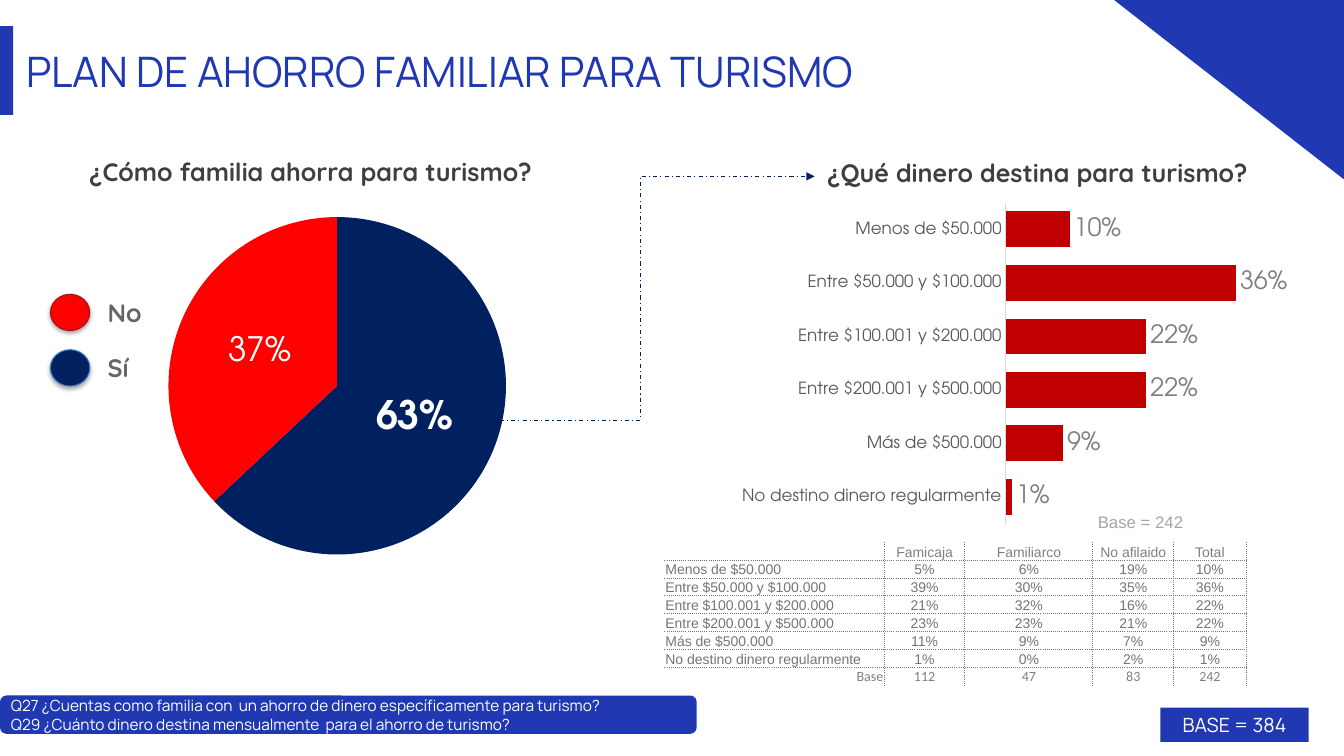
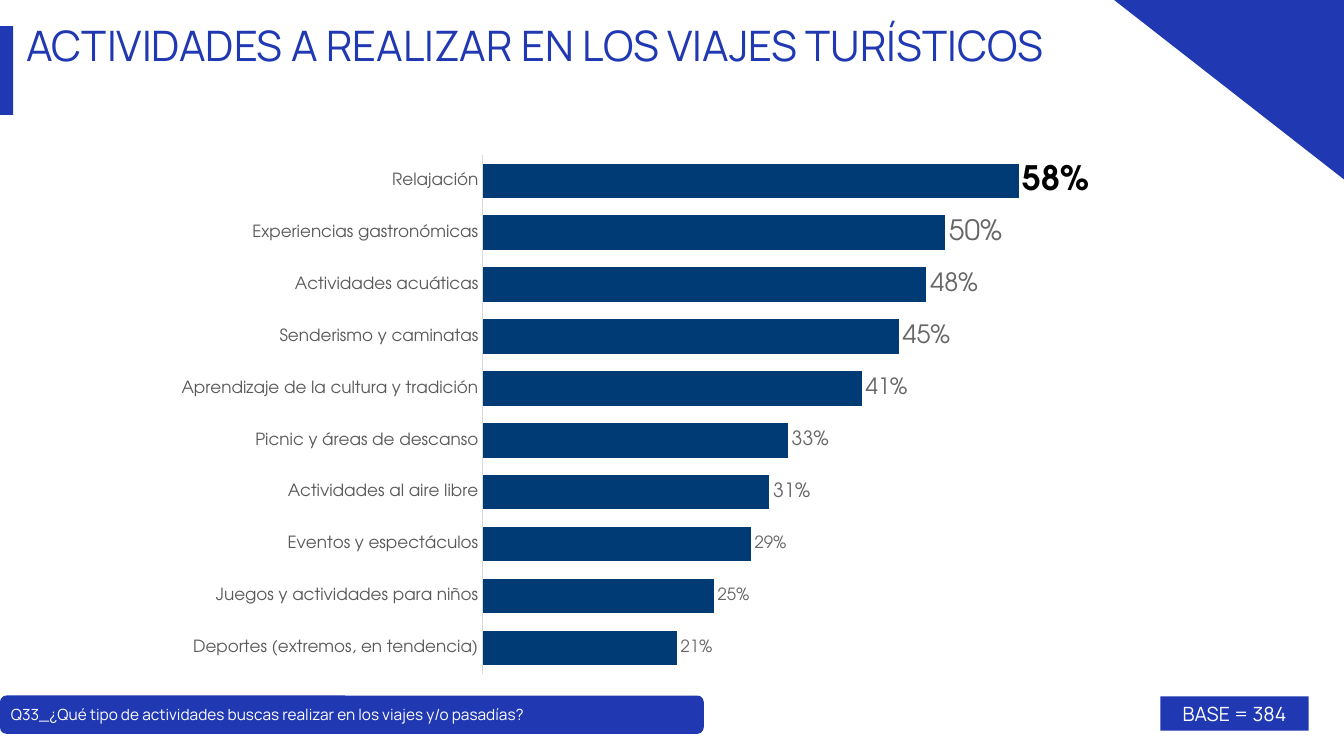
from dataclasses import dataclass
from typing import Any

import pptx
import pptx.chart.data
import pptx.dml.color
import pptx.enum.chart
import pptx.enum.dml
import pptx.enum.shapes
import pptx.enum.text
import pptx.oxml.ns
import pptx.util
from lxml import etree

Inches = pptx.util.Inches
Pt = pptx.util.Pt
qn = pptx.oxml.ns.qn
Align = pptx.enum.text.PP_ALIGN
Anchor = pptx.enum.text.MSO_ANCHOR
ShapeKind = pptx.enum.shapes.MSO_SHAPE
LabelPosition = pptx.enum.chart.XL_LABEL_POSITION

COLORS = {
    "brand": "2038B2", "navy": "002060", "red": "FF0000", "bar_red": "C00000",
    "bar_blue": "003B75", "white": "FFFFFF", "black": "000000", "heading": "3F3F3F",
    "legend": "666666", "axis_text": "595959", "axis_line": "D9D9D9", "grey": "808080",
    "light_grey": "A5A5A5", "table": "757575", "navy_edge": "2674BB", "red_edge": "A31115",
}
BRAND_FONT = "Manrope"
HEADING_FONT = "Quicksand"
CHART_FONT = "TeX Gyre Adventor"
TABLE_FONT = "Arial"


@dataclass(frozen=True)
class Box:
    left: float
    top: float
    width: float
    height: float

    def lengths(self) -> tuple:
        return tuple(Inches(value) for value in (self.left, self.top, self.width, self.height))


@dataclass(frozen=True)
class Bar:
    category: str
    value: float
    label_size: int = 18
    label_color: str = "grey"
    bold: bool = False


@dataclass(frozen=True)
class LegendEntry:
    text: str
    top: float
    fill: str
    edge: str


SAVINGS_BARS = [
    Bar("Menos de $50.000", 0.10),
    Bar("Entre $50.000 y $100.000", 0.36),
    Bar("Entre $100.001 y $200.000", 0.22),
    Bar("Entre $200.001 y $500.000", 0.22),
    Bar("Más de $500.000", 0.09),
    Bar("No destino dinero regularmente", 0.01),
]
ACTIVITY_BARS = [
    Bar("Deportes (extremos, en tendencia)", 0.21, 12, "legend"),
    Bar("Juegos y actividades para niños", 0.25, 12, "legend"),
    Bar("Eventos y espectáculos", 0.29, 12, "legend"),
    Bar("Actividades al aire libre", 0.31, 14, "legend"),
    Bar("Picnic y áreas de descanso", 0.33, 14, "legend"),
    Bar("Aprendizaje de la cultura y tradición", 0.41, 16, "legend"),
    Bar("Senderismo y caminatas", 0.45, 18, "legend"),
    Bar("Actividades acuáticas", 0.48, 18, "legend"),
    Bar("Experiencias gastronómicas", 0.50, 20, "legend"),
    Bar("Relajación", 0.58, 24, "black", True),
]
SAVERS = [Bar("1", 0.63, 28, "white", True), Bar("2", 0.37, 24, "white")]
LEGEND = [
    LegendEntry("No", 2.92, "red", "red_edge"),
    LegendEntry("Sí", 3.47, "navy", "navy_edge"),
]
TABLE_ROWS = [
    ("", "Famicaja", "Familiarco", "No afilaido", "Total"),
    ("Menos de $50.000", "5%", "6%", "19%", "10%"),
    ("Entre $50.000 y $100.000", "39%", "30%", "35%", "36%"),
    ("Entre $100.001 y $200.000", "21%", "32%", "16%", "22%"),
    ("Entre $200.001 y $500.000", "23%", "23%", "21%", "22%"),
    ("Más de $500.000", "11%", "9%", "7%", "9%"),
    ("No destino dinero regularmente", "1%", "0%", "2%", "1%"),
    ("Base", "112", "47", "83", "242"),
]
TABLE_WIDTHS = (2.18, 0.8, 1.27, 0.8, 0.72)


def rgb(name: str) -> pptx.dml.color.RGBColor:
    return pptx.dml.color.RGBColor.from_string(COLORS[name])


def format_font(font: Any, *, size: float, color: str, name: str, bold: bool = False) -> None:
    font.size, font.name, font.bold = Pt(size), name, bold
    font.color.rgb = rgb(color)


def write_text(frame: Any, text: str, *, size: float, color: str, font: str,
               bold: bool = False, align: Any = Align.LEFT, anchor: Any = Anchor.TOP,
               margins: tuple = (0.1, 0.05, 0.1, 0.05)) -> None:
    """Fill a text frame, one paragraph per line; margins run left, top, right, bottom."""
    frame.word_wrap = True
    frame.vertical_anchor = anchor
    frame.margin_left, frame.margin_top, frame.margin_right, frame.margin_bottom = map(Inches, margins)
    for index, line in enumerate(text.split("\n")):
        paragraph = frame.add_paragraph() if index else frame.paragraphs[0]
        paragraph.alignment = align
        run = paragraph.add_run()
        run.text = line
        format_font(run.font, size=size, color=color, name=font, bold=bold)


def add_text(slide: Any, box: Box, text: str, **text_format: Any) -> None:
    write_text(slide.shapes.add_textbox(*box.lengths()).text_frame, text, **text_format)


def paint(shape: Any, fill: str, edge: str = "") -> None:
    shape.shadow.inherit = False
    shape.fill.solid()
    shape.fill.fore_color.rgb = rgb(fill)
    if edge:
        shape.line.color.rgb = rgb(edge)
        shape.line.width = Pt(0.75)
    else:
        shape.line.fill.background()


def add_block(slide: Any, kind: Any, box: Box, fill: str, edge: str = "") -> Any:
    shape = slide.shapes.add_shape(kind, *box.lengths())
    paint(shape, fill, edge)
    return shape


def add_framed_slide(presentation: Any, title: str, title_box: Box, question: str,
                     question_width: float, base_top: float) -> Any:
    """Add a slide with its title, corner, side band, question strip and base tag."""
    slide = presentation.slides.add_slide(presentation.slide_layouts.get_by_name("Title Only"))
    heading = slide.shapes.title
    heading.left, heading.top, heading.width, heading.height = title_box.lengths()
    write_text(heading.text_frame, title, size=30, color="brand", font=BRAND_FONT,
               margins=(0.01, 0.01, 0, 0))
    heading.text_frame.auto_size = pptx.enum.text.MSO_AUTO_SIZE.NONE

    corner = slide.shapes.build_freeform(Inches(13.33), 0)
    corner.add_line_segments([(Inches(11.05), 0), (Inches(13.33), Inches(1.78))])
    paint(corner.convert_to_shape(), "brand")
    add_block(slide, ShapeKind.RECTANGLE, Box(0, 0.26, 0.13, 0.88), "brand")

    strip = add_block(slide, ShapeKind.ROUNDED_RECTANGLE, Box(0, 6.9, question_width, 0.38), "brand")
    write_text(strip.text_frame, question, size=11, color="white", font=BRAND_FONT,
               anchor=Anchor.MIDDLE, margins=(0.09, 0, 0.1, 0))
    base = add_block(slide, ShapeKind.RECTANGLE, Box(11.51, base_top, 1.47, 0.34), "brand")
    write_text(base.text_frame, "BASE = 384", size=14, color="white", font=BRAND_FONT,
               align=Align.CENTER, anchor=Anchor.MIDDLE)
    return slide


def set_plot_area(chart: Any, fractions: tuple) -> None:
    """Fix the inner plot area at x, y, width and height, as parts of the chart."""
    plot_area = next(chart.element.iter(qn("c:plotArea")))
    for layout in plot_area.findall(qn("c:layout")):
        plot_area.remove(layout)
    layout = etree.Element(qn("c:layout"))
    plot_area.insert(0, layout)
    manual = etree.SubElement(layout, qn("c:manualLayout"))
    settings = [("layoutTarget", "inner"), ("xMode", "edge"), ("yMode", "edge")]
    settings += zip("xywh", map(str, fractions))
    for tag, value in settings:
        etree.SubElement(manual, qn(f"c:{tag}"), val=value)


def add_percent_chart(slide: Any, kind: Any, box: Box, bars: list[Bar], plot_area: tuple,
                      label_position: Any) -> Any:
    data = pptx.chart.data.CategoryChartData(number_format="0%")
    data.categories = [bar.category for bar in bars]
    data.add_series("Series 1", [bar.value for bar in bars])
    chart = slide.shapes.add_chart(kind, *box.lengths(), data).chart
    chart.has_title = chart.has_legend = False
    format_font(chart.font, size=10, color="black", name=TABLE_FONT)
    set_plot_area(chart, plot_area)
    plot = chart.plots[0]
    plot.has_data_labels = True
    labels = plot.data_labels
    labels.show_value, labels.position = True, label_position
    labels.number_format, labels.number_format_is_linked = "0%", False
    for index, bar in enumerate(bars):
        label = plot.series[0].points[index].data_label
        format_font(label.font, size=bar.label_size, color=bar.label_color,
                    name=CHART_FONT, bold=bar.bold)
        label.position = label_position
    return chart


def add_bar_chart(slide: Any, box: Box, bars: list[Bar], plot_area: tuple, *,
                  color: str, maximum: float, first_on_top: bool) -> None:
    chart = add_percent_chart(slide, pptx.enum.chart.XL_CHART_TYPE.BAR_CLUSTERED, box, bars,
                              plot_area, LabelPosition.OUTSIDE_END)
    plot = chart.plots[0]
    plot.gap_width, plot.vary_by_categories = 50, False
    fill = plot.series[0].format.fill
    fill.solid()
    fill.fore_color.rgb = rgb(color)
    categories, values = chart.category_axis, chart.value_axis
    categories.reverse_order = first_on_top
    categories.major_tick_mark = pptx.enum.chart.XL_TICK_MARK.NONE
    categories.format.line.color.rgb = rgb("axis_line")
    categories.format.line.width = Pt(0.75)
    format_font(categories.tick_labels.font, size=12, color="axis_text", name=CHART_FONT)
    values.has_major_gridlines = values.visible = False
    values.minimum_scale, values.maximum_scale = 0, maximum


def add_pie_chart(slide: Any) -> None:
    chart = add_percent_chart(slide, pptx.enum.chart.XL_CHART_TYPE.PIE, Box(0.11, 2.01, 6.47, 3.6),
                              SAVERS, (0.24, 0.04, 0.52, 0.93), LabelPosition.CENTER)
    chart.plots[0].vary_by_categories = True
    for index, color in enumerate(("navy", "red")):
        point_format = chart.plots[0].series[0].points[index].format
        point_format.fill.solid()
        point_format.fill.fore_color.rgb = rgb(color)
        point_format.line.fill.background()


def add_legend_entry(slide: Any, entry: LegendEntry) -> None:
    dot = add_block(slide, ShapeKind.OVAL, Box(0.5, entry.top, 0.39, 0.36), entry.fill, entry.edge)
    effects = next(dot.element.iter(qn("a:effectLst")))
    shadow = etree.SubElement(effects, qn("a:outerShdw"), blurRad=str(Pt(3.1)),
                              dist=str(Pt(1.8)), dir="5400000", rotWithShape="0")
    shade = etree.SubElement(shadow, qn("a:srgbClr"), val=COLORS["black"])
    etree.SubElement(shade, qn("a:alpha"), val="35000")
    add_text(slide, Box(0.97, entry.top - 0.02, 0.7, 0.4), entry.text, size=18, color="legend",
             font=HEADING_FONT, bold=True, anchor=Anchor.MIDDLE)


def add_savings_arrow(slide: Any) -> None:
    arrow = slide.shapes.add_connector(pptx.enum.shapes.MSO_CONNECTOR.ELBOW, Inches(4.62),
                                       Inches(4.17), Inches(8.08), Inches(1.75))
    arrow.line.color.rgb = rgb("navy")
    arrow.line.width = Pt(0.75)
    arrow.line.dash_style = pptx.enum.dml.MSO_LINE.DASH_DOT
    etree.SubElement(next(arrow.element.iter(qn("a:ln"))), qn("a:tailEnd"), type="triangle")
    etree.SubElement(next(arrow.element.iter(qn("p:spPr"))), qn("a:effectLst"))


def set_cell_borders(cell: Any, dotted: dict[str, bool]) -> None:
    """Draw dotted edges where asked and none elsewhere; keys are L, R, T, B in that order."""
    properties = cell._tc.get_or_add_tcPr()
    for index, (side, visible) in enumerate(dotted.items()):
        line = etree.Element(qn(f"a:ln{side}"), w=str(Pt(0.75)))
        properties.insert(index, line)
        if visible:
            fill = etree.SubElement(line, qn("a:solidFill"))
            etree.SubElement(fill, qn("a:srgbClr"), val=COLORS["table"])
            etree.SubElement(line, qn("a:prstDash"), val="sysDot")
        else:
            etree.SubElement(line, qn("a:noFill"))


def add_savings_table(slide: Any) -> None:
    last = len(TABLE_ROWS) - 1
    table = slide.shapes.add_table(len(TABLE_ROWS), len(TABLE_WIDTHS),
                                   *Box(6.59, 5.38, 5.77, 1.4).lengths()).table
    table.first_row = table.horz_banding = False
    for column, width in zip(table.columns, TABLE_WIDTHS):
        column.width = Inches(width)
    for row, texts in enumerate(TABLE_ROWS):
        for column, text in enumerate(texts):
            cell = table.cell(row, column)
            cell.fill.background()
            cell.vertical_anchor = Anchor.BOTTOM
            cell.margin_left = cell.margin_top = cell.margin_right = Inches(0.01)
            cell.margin_bottom = 0
            set_cell_borders(cell, {"L": column > 0, "R": True, "T": row > 0, "B": row < last})
            paragraph = cell.text_frame.paragraphs[0]
            if not text:
                etree.SubElement(paragraph._p, qn("a:endParaRPr"), sz="1000")
                continue
            first_align = Align.RIGHT if row == last else Align.LEFT
            paragraph.alignment = Align.CENTER if column else first_align
            run = paragraph.add_run()
            run.text = text
            format_font(run.font, size=10, color="grey" if row in (0, last) else "table",
                        name="Calibri" if row == last else TABLE_FONT)


def build_savings_slide(presentation: Any) -> None:
    slide = add_framed_slide(
        presentation, "PLAN DE AHORRO FAMILIAR PARA TURISMO", Box(0.25, 0.44, 10.64, 0.52),
        "Q27 ¿Cuentas como familia con  un ahorro de dinero específicamente para turismo?\n"
        "Q29 ¿Cuánto dinero destina mensualmente  para el ahorro de turismo?", 6.91, 7.02)
    add_pie_chart(slide)
    for entry in LEGEND:
        add_legend_entry(slide, entry)
    for left, top, text in ((0.04, 1.5, "¿Cómo familia ahorra para turismo?"),
                            (7.25, 1.51, "¿Qué dinero destina para turismo?")):
        add_text(slide, Box(left, top, 6.08, 0.4), text, size=18, color="heading",
                 font=HEADING_FONT, bold=True, align=Align.CENTER)
    add_text(slide, Box(10.79, 5.03, 1.06, 0.3), "Base = 242", size=12, color="light_grey",
             font=TABLE_FONT)
    add_savings_arrow(slide)
    add_bar_chart(slide, Box(7.09, 1.87, 5.77, 3.5), SAVINGS_BARS, (0.5, 0.04, 0.44, 0.91),
                  color="bar_red", maximum=0.4, first_on_top=True)
    add_savings_table(slide)


def build_activities_slide(presentation: Any) -> None:
    slide = add_framed_slide(
        presentation, "ACTIVIDADES A REALIZAR EN LOS VIAJES TURÍSTICOS", Box(0.25, 0.18, 10.64, 1.02),
        "Q33_¿Qué tipo de actividades buscas realizar en los viajes y/o pasadías?", 6.98, 6.91)
    add_bar_chart(slide, Box(1.77, 1.32, 9.73, 5.42), ACTIVITY_BARS, (0.31, 0.04, 0.66, 0.95),
                  color="bar_blue", maximum=0.7, first_on_top=False)


def main() -> None:
    presentation = pptx.Presentation()
    presentation.slide_width, presentation.slide_height = Inches(13.33), Inches(7.5)
    build_savings_slide(presentation)
    build_activities_slide(presentation)
    presentation.save("out.pptx")


if __name__ == "__main__":
    main()
